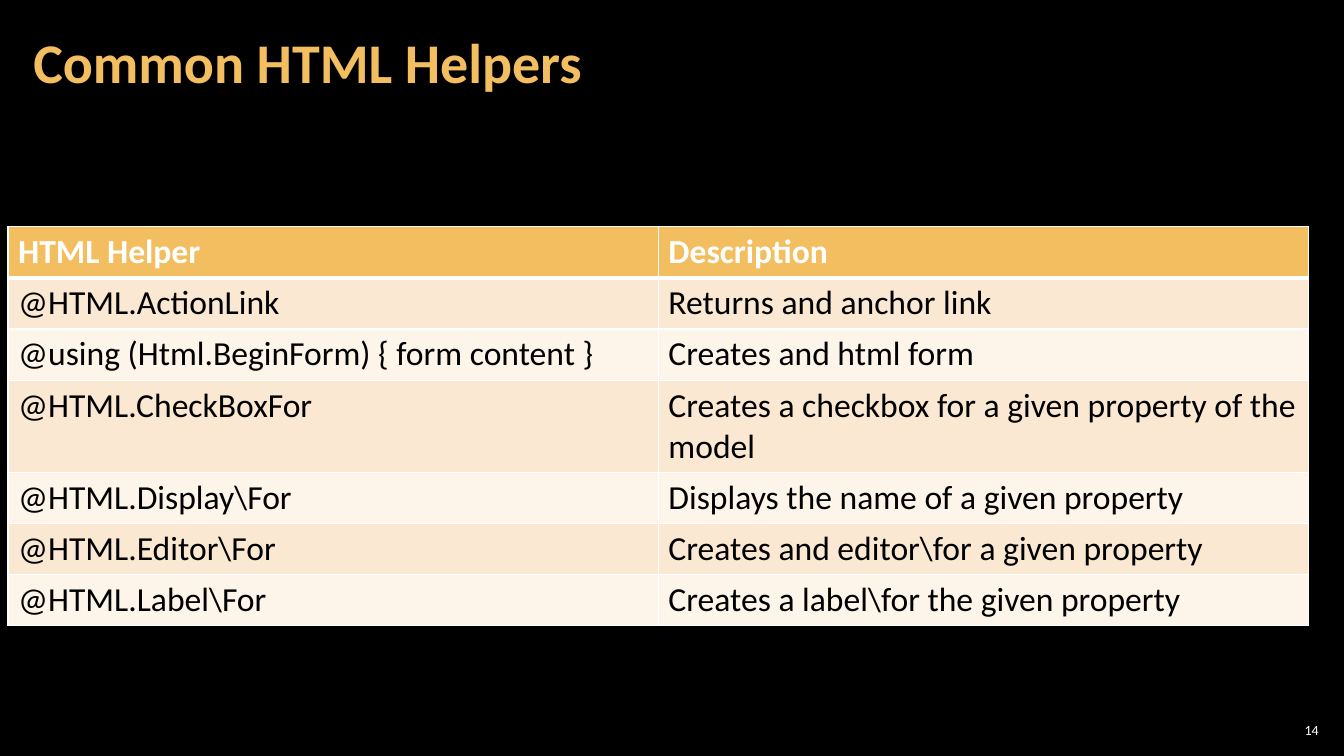
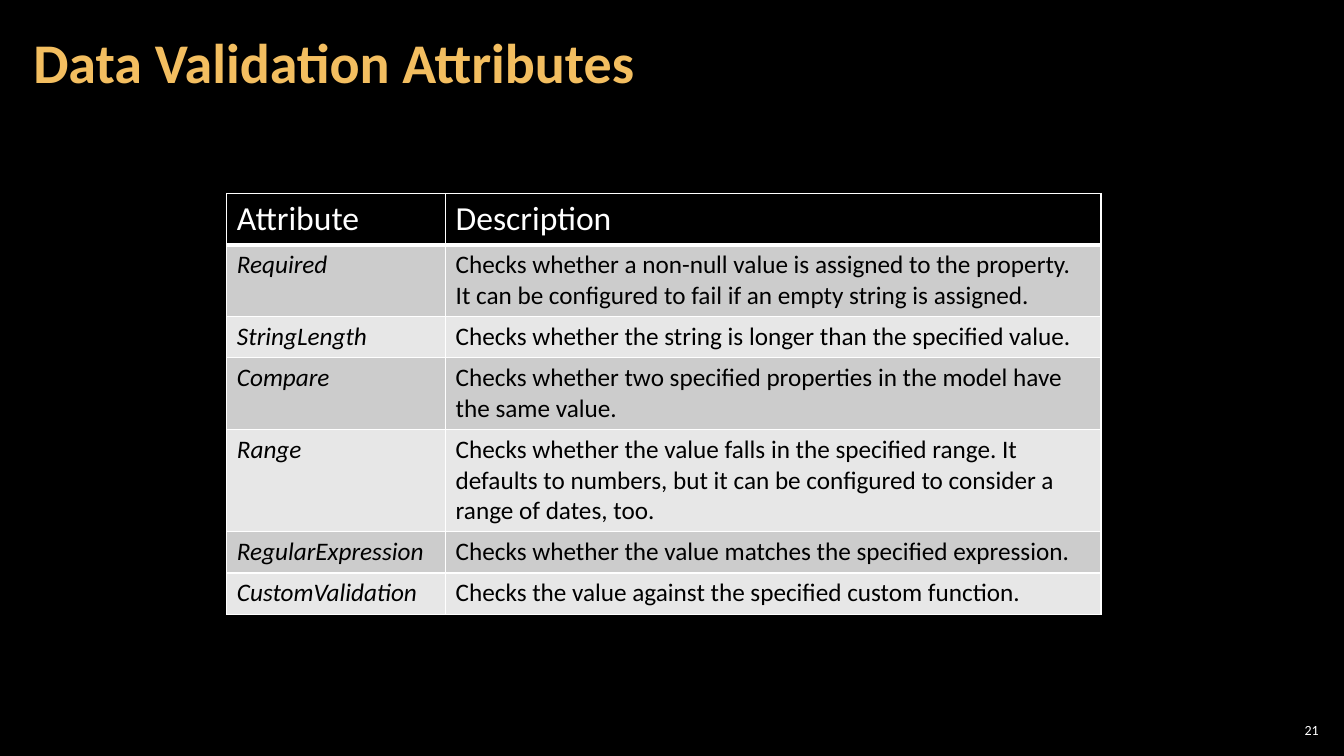
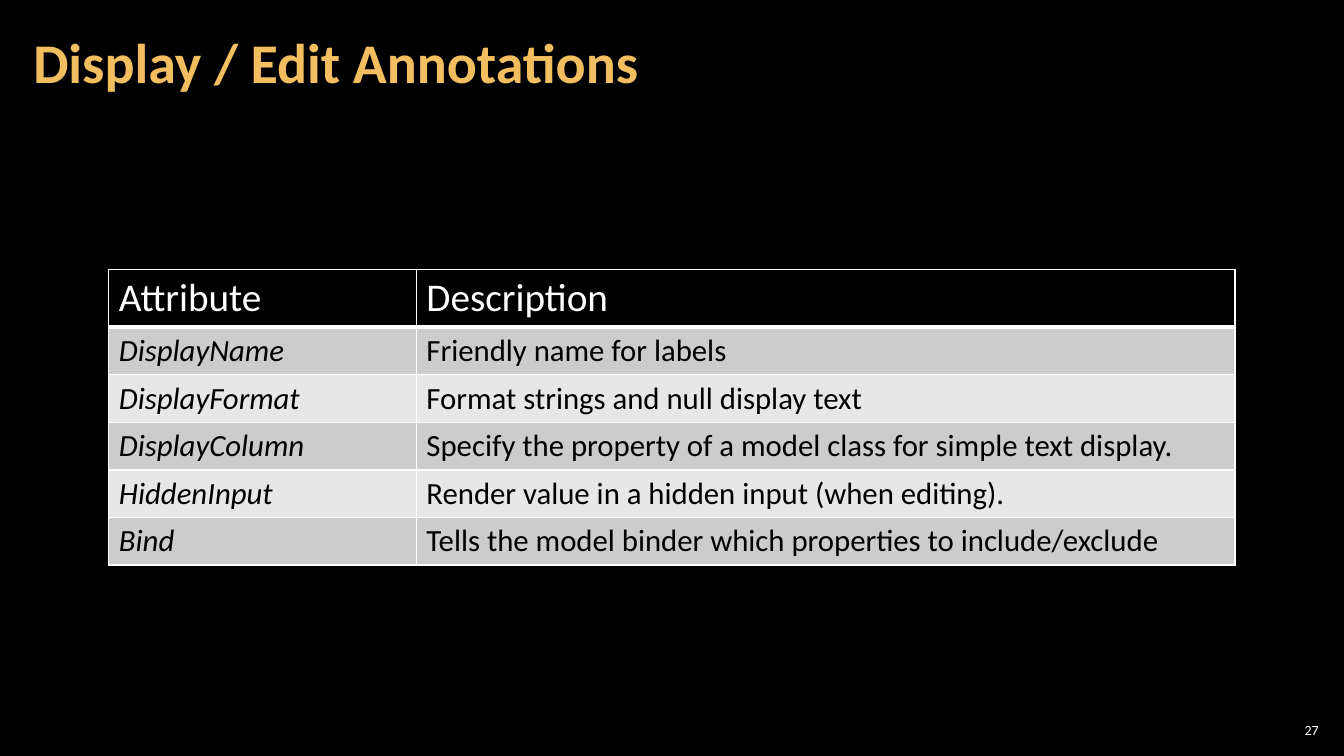
from dataclasses import dataclass

from lxml.etree import SubElement
from pptx import Presentation
from pptx.dml.color import RGBColor as Color
from pptx.enum.text import MSO_ANCHOR as Anchor, MSO_AUTO_SIZE as AutoSize, PP_ALIGN as Align
from pptx.oxml.ns import qn
from pptx.util import Inches, Pt


@dataclass(frozen=True)
class Theme:
    font: str = "Calibri"
    background: str = "000000"
    accent: str = "F3BE60"
    light_text: str = "FFFFFF"
    dark_text: str = "000000"
    border: str = "FFFFFF"
    warm_bands: tuple = ("FAE8D2", "FDF4EA")
    gray_bands: tuple = ("CCCCCC", "E7E7E7")
    title_size: int = 40
    number_size: int = 10
    border_width: int = 1
    header_rule: int = 3


@dataclass(frozen=True)
class TableStyle:
    header_fill: str
    bands: tuple
    header_size: int
    body_size: int
    bold_header: bool = False
    italic_names: bool = True


THEME = Theme()
ROW_HEIGHT = 0.41

HELPERS = [
    ("HTML Helper", "Description"),
    ("@HTML.ActionLink", "Returns and anchor link"),
    ("@using (Html.BeginForm) { form content }", "Creates and html form"),
    ("@HTML.CheckBoxFor", "Creates a checkbox for a given property of the model"),
    ("@HTML.Display\\For", "Displays the name of a given property"),
    ("@HTML.Editor\\For", "Creates and editor\\for a given property"),
    ("@HTML.Label\\For", "Creates a label\\for the given property"),
]

VALIDATION = [
    ("Attribute", "Description"),
    ("Required", "Checks whether a non-null value is assigned to the property. "
                 "It can be configured to fail if an empty string is assigned."),
    ("StringLength", "Checks whether the string is longer than the specified value."),
    ("Compare", "Checks whether two specified properties in the model have the same value."),
    ("Range", "Checks whether the value falls in the specified range. It defaults to numbers, "
              "but it can be configured to consider a range of dates, too."),
    ("RegularExpression", "Checks whether the value matches the specified expression."),
    ("CustomValidation", "Checks the value against the specified custom function."),
]

ANNOTATIONS = [
    ("Attribute", "Description"),
    ("DisplayName", "Friendly name for labels"),
    ("DisplayFormat", "Format strings and null display text"),
    ("DisplayColumn", "Specify the property of a model class for simple text display."),
    ("HiddenInput", "Render value in a hidden input (when editing)."),
    ("Bind", "Tells the model binder which properties to include/exclude"),
]


def set_font(paragraph, size, color, bold=False, italic=False):
    font = paragraph.font
    font.name = THEME.font
    font.size = Pt(size)
    font.color.rgb = Color.from_string(color)
    font.bold = bold
    font.italic = italic


def set_frame(frame, side_margin):
    frame.word_wrap = True
    frame.auto_size = AutoSize.NONE
    frame.vertical_anchor = Anchor.MIDDLE
    frame.margin_left = frame.margin_right = Inches(side_margin)
    frame.margin_top = frame.margin_bottom = Inches(0.04)


def add_titled_slide(presentation, title, number):
    slide = presentation.slides.add_slide(presentation.slide_layouts.get_by_name("Title Only"))
    shape = slide.shapes.title
    shape.left, shape.top = Inches(0.21), Inches(0.04)
    shape.width, shape.height = Inches(10.47), Inches(1.21)
    shape.text_frame.text = title
    set_frame(shape.text_frame, 0.12)
    paragraph = shape.text_frame.paragraphs[0]
    paragraph.alignment = Align.LEFT
    paragraph.line_spacing = 0.9
    set_font(paragraph, THEME.title_size, THEME.accent, bold=True)
    add_slide_number(slide, number)
    return slide


def add_slide_number(slide, number):
    box = slide.shapes.add_textbox(Inches(12.65), Inches(7.14), Inches(0.47), Inches(0.21))
    box.text_frame.text = str(number)
    set_frame(box.text_frame, 0.04)
    paragraph = box.text_frame.paragraphs[0]
    paragraph.alignment = Align.RIGHT
    set_font(paragraph, THEME.number_size, THEME.light_text)


def set_borders(cell, widths):
    properties = cell._tc.get_or_add_tcPr()
    for side, width in widths.items():
        line = SubElement(properties, qn(f"a:ln{side}"), w=str(Pt(width)))
        fill = SubElement(line, qn("a:solidFill"))
        SubElement(fill, qn("a:srgbClr"), val=THEME.border)


def format_cell(cell, row, column, style):
    is_header = row == 0
    widths = dict.fromkeys("LRTB", THEME.border_width)
    if is_header:
        widths["B"] = THEME.header_rule
    elif row == 1:
        widths["T"] = THEME.header_rule
    set_borders(cell, widths)
    cell.fill.solid()
    paragraph = cell.text_frame.paragraphs[0]
    if is_header:
        fill = style.header_fill
        set_font(paragraph, style.header_size, THEME.light_text, bold=style.bold_header)
    else:
        fill = style.bands[(row - 1) % len(style.bands)]
        set_font(paragraph, style.body_size, THEME.dark_text,
                 italic=style.italic_names and column == 0)
    cell.fill.fore_color.rgb = Color.from_string(fill)


def add_styled_table(slide, rows, left, top, column_widths, style):
    table = slide.shapes.add_table(
        len(rows), len(column_widths), Inches(left), Inches(top),
        Inches(sum(column_widths)), Inches(ROW_HEIGHT * len(rows))).table
    table.horz_banding = False
    for column, width in zip(table.columns, column_widths):
        column.width = Inches(width)
    for row, texts in enumerate(rows):
        for column, text in enumerate(texts):
            cell = table.cell(row, column)
            cell.text = text
            format_cell(cell, row, column, style)


def main():
    presentation = Presentation()
    presentation.slide_width, presentation.slide_height = Inches(13.33), Inches(7.5)
    background = presentation.slide_master.background.fill
    background.solid()
    background.fore_color.rgb = Color.from_string(THEME.background)

    warm = TableStyle(THEME.accent, THEME.warm_bands, 24, 24, bold_header=True, italic_names=False)
    gray = TableStyle(THEME.background, THEME.gray_bands, 24, 18)
    large_gray = TableStyle(THEME.background, THEME.gray_bands, 28, 22)

    slide = add_titled_slide(presentation, "Common HTML Helpers", 14)
    add_styled_table(slide, HELPERS, 0.08, 2.25, (6.45, 6.45), warm)

    slide = add_titled_slide(presentation, "Data Validation Attributes", 21)
    add_styled_table(slide, VALIDATION, 2.25, 1.92, (2.17, 6.5), gray)

    slide = add_titled_slide(presentation, "Display / Edit Annotations", 27)
    add_styled_table(slide, ANNOTATIONS, 1.08, 2.67, (3.05, 8.12), large_gray)

    presentation.save("out.pptx")


if __name__ == "__main__":
    main()
